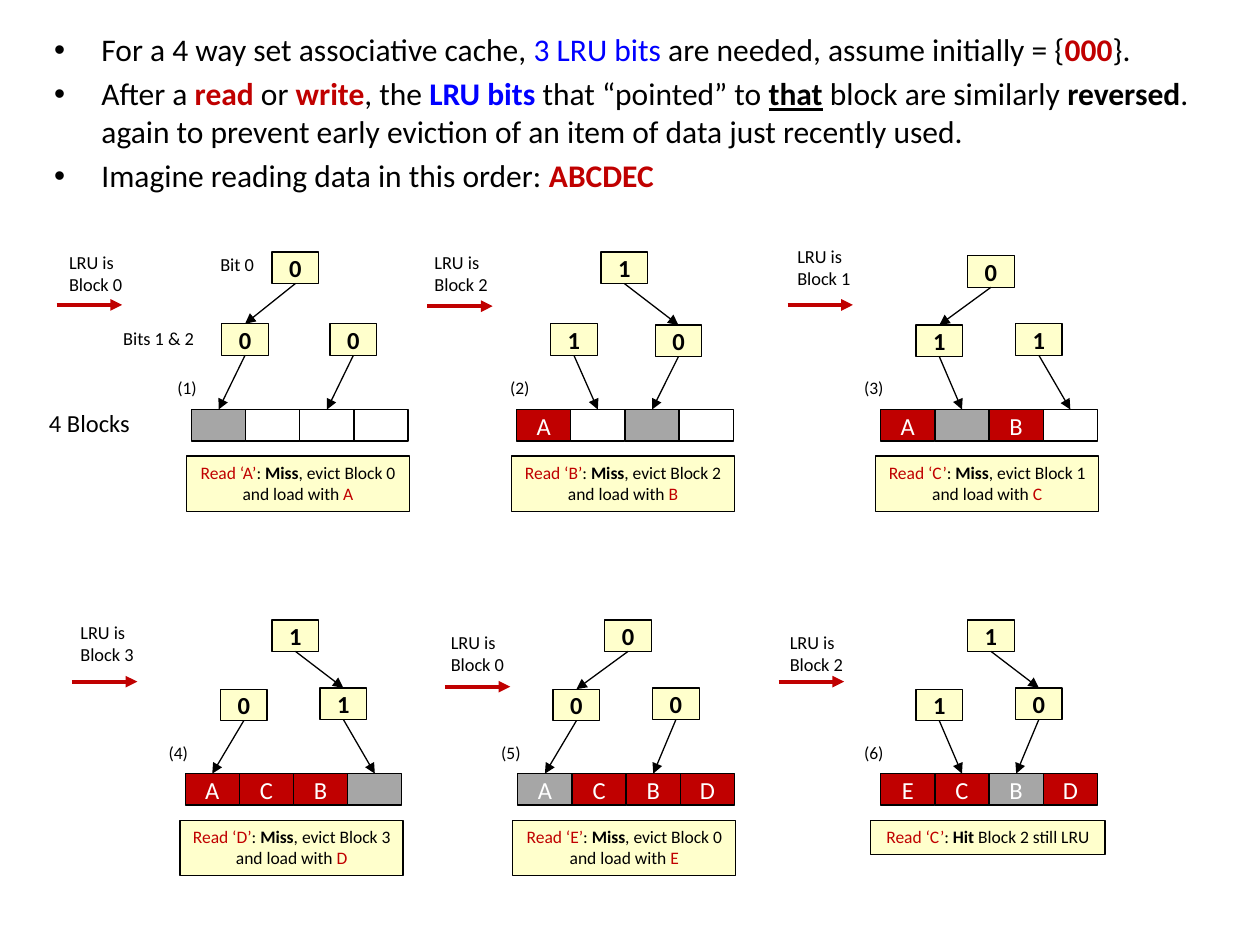
from collections import namedtuple

from lxml import etree
from pptx import Presentation
from pptx.dml.color import RGBColor
from pptx.enum.shapes import MSO_CONNECTOR, MSO_SHAPE
from pptx.enum.text import MSO_ANCHOR, MSO_AUTO_SIZE, PP_ALIGN
from pptx.oxml.ns import qn
from pptx.util import Inches, Pt

RECT = MSO_SHAPE.RECTANGLE
STRAIGHT = MSO_CONNECTOR.STRAIGHT
CENTER = PP_ALIGN.CENTER
MIDDLE, TOP = MSO_ANCHOR.MIDDLE, MSO_ANCHOR.TOP
NO_FIT = MSO_AUTO_SIZE.NONE

FONT = "Calibri"
BLACK = RGBColor(0x00, 0x00, 0x00)
WHITE = RGBColor(0xFF, 0xFF, 0xFF)
RED = RGBColor(0xC0, 0x00, 0x00)
BLUE = RGBColor(0x00, 0x00, 0xFF)
GREY = RGBColor(0xA6, 0xA6, 0xA6)
CREAM = RGBColor(0xFF, 0xFF, 0xCC)

CELL_W, BOX_H, BIT_W = 0.43, 0.25, 0.37
ROW_1, ROW_2 = 3.25, 6.14

# Offsets of the root, left and right bits from the corner of the block row.
TREE = ((0.69, -1.22), (0.28, -0.67), (1.07, -0.68))
TREE_1 = ((0.64, -1.25), (0.24, -0.68), (1.10, -0.68))
TREE_2 = ((0.67, -1.25), (0.27, -0.68), (1.10, -0.67))

# Bits are root, left, right; label, arrow and number are offsets as above.
Step = namedtuple("Step", "x y bits blocks read hit label arrow number tree")
STEPS = (
    Step(1.52, ROW_1, (0, 0, 0), "    ", "A", False,
         (-1.07, -1.31), (-1.07, -0.83), (-0.21, -0.31), TREE_1),
    Step(4.10, ROW_1, (1, 1, 0), "A   ", "B", False,
         (-0.75, -1.31), (-0.71, -0.82), (-0.15, -0.31), TREE_2),
    Step(6.99, ROW_1, (0, 1, 1), "A B ", "C", False,
         (-0.76, -1.35), (-0.74, -0.83), (-0.23, -0.31), TREE),
    Step(1.47, ROW_2, (1, 0, 1), "ACB ", "D", False,
         (-0.93, -1.26), (-0.90, -0.73), (-0.23, -0.30), TREE),
    Step(4.11, ROW_2, (0, 0, 0), "ACBD", "E", False,
         (-0.63, -1.18), (-0.58, -0.69), (-0.23, -0.30), TREE),
    Step(6.99, ROW_2, (1, 1, 0), "ECBD", "C", True,
         (-0.82, -1.18), (-0.81, -0.73), (-0.23, -0.30), TREE),
)

BULLETS = (
    (("For a 4 way set associative cache, ",), ("3 LRU bits ", BLUE),
     ("are needed, assume initially = {",), ("000", RED, True), ("}.",)),
    (("After a ",), ("read", RED, True), (" or ",), ("write", RED, True),
     (", the ",), ("LRU bits ", BLUE, True), ("that “pointed” to ",),
     ("that", BLACK, True, True), (" block are similarly ",),
     ("reversed", BLACK, True),
     (". again to prevent early eviction of an item of data just recently used.",)),
    (("Imagine reading data in this order: ",), ("ABCDEC", RED, True)),
)


def add_run(p, size, text, color=BLACK, bold=False, underline=False):
    r = p.add_run()
    r.text = text
    r.font.name, r.font.size = FONT, Pt(size)
    r.font.color.rgb = color
    r.font.bold, r.font.underline = bold, underline


def add_label(slide, x, y, w, h, size, lines, wrap=True):
    tf = slide.shapes.add_textbox(Inches(x), Inches(y), Inches(w), Inches(h)).text_frame
    tf.word_wrap = wrap
    p = tf.paragraphs[0]
    for i, line in enumerate(lines):
        if i:
            p.add_line_break()
        add_run(p, size, line)


def add_box(shapes, x, y, w, h, fill, size=14, runs=(), anchor=MIDDLE):
    s = shapes.add_shape(RECT, Inches(x), Inches(y), Inches(w), Inches(h))
    s.shadow.inherit = False
    if fill is None:
        s.fill.background()
    else:
        s.fill.solid()
        s.fill.fore_color.rgb = fill
    s.line.color.rgb, s.line.width = BLACK, Pt(0.75)
    tf = s.text_frame
    tf.word_wrap, tf.vertical_anchor = True, anchor
    p = tf.paragraphs[0]
    p.alignment = CENTER
    for run in runs:
        add_run(p, size, *run)
    return s


def add_arrow(slide, x1, y1, x2, y2, color, width):
    c = slide.shapes.add_connector(STRAIGHT, Inches(x1), Inches(y1), Inches(x2), Inches(y2))
    c.line.color.rgb, c.line.width = color, Pt(width)
    etree.SubElement(c.line._get_or_add_ln(), qn("a:tailEnd"), type="triangle")
    etree.SubElement(c._element.spPr, qn("a:effectLst"))
    return c


def join(slide, upper, lower):
    """Point an arrow from the bottom of one box to the top of another."""
    c = add_arrow(slide, 0, 0, 0, 0, BLACK, 0.75)
    c.begin_connect(upper, 2)
    c.end_connect(lower, 0)


def add_bullets(slide, x, y, w, h):
    body = slide.placeholders[1]
    body.left, body.top, body.width, body.height = map(Inches, (x, y, w, h))
    tf = body.text_frame
    tf.auto_size, tf.vertical_anchor = NO_FIT, TOP
    for i, runs in enumerate(BULLETS):
        p = tf.add_paragraph() if i else tf.paragraphs[0]
        for run in runs:
            add_run(p, 18, *run)


def add_blocks(slide, x, y, blocks, lru):
    group = slide.shapes.add_group_shape()
    cells = []
    for i, data in enumerate(blocks.replace(" ", "-")):
        used = data != "-"
        fill = GREY if i == lru else RED if used else None
        runs = [(data, WHITE)] if used else []
        cells.append(add_box(group.shapes, x + i * CELL_W, y, CELL_W, BOX_H, fill, runs=runs))
    return cells


def add_note(slide, x, y, step, lru):
    runs = [(f"Read ‘{step.read}’", RED), (": ",), ("Hit" if step.hit else "Miss", BLACK, True)]
    if step.hit:
        runs.append((f" Block {lru} still LRU",))
        box = (x - 0.08, y, 1.86, 0.27)
    else:
        runs += [(f", evict Block {lru} and load with ",), (step.read, RED)]
        box = (x - 0.04, y, 1.77, 0.44)
    add_box(slide.shapes, *box, CREAM, 10, runs, TOP)


def add_step(slide, number, step):
    """Draw the bit tree, the blocks and the captions of one read."""
    x, y = step.x, step.y
    root_bit, left_bit, right_bit = step.bits
    targets = (left_bit, 2 + right_bit)
    lru = targets[root_bit]

    root, *children = [
        add_box(slide.shapes, x + dx, y + dy, BIT_W, BOX_H, CREAM, runs=[(str(bit), BLACK, True)])
        for bit, (dx, dy) in zip(step.bits, step.tree)]
    cells = add_blocks(slide, x, y, step.blocks, lru)
    join(slide, root, children[root_bit])
    for child, target in zip(children, targets):
        join(slide, child, cells[target])

    add_note(slide, x, y + 0.37, step, lru)
    dx, dy = step.number
    add_label(slide, x + dx, y + dy, 0.36, 0.28, 10, [f"({number})"])
    dx, dy = step.label
    add_label(slide, x + dx, y + dy, 1.04, 0.45, 10.5, ["LRU is ", f"Block {lru}"])
    dx, dy = step.arrow
    add_arrow(slide, x + dx, y + dy, x + dx + 0.52, y + dy, RED, 2.25)


def add_legend(slide, x, y):
    """Name the levels of the first tree."""
    add_label(slide, x + 1.36, y, 0.47, 0.28, 10.5, ["Bit 0"], wrap=False)
    add_label(slide, x + 0.59, y + 0.59, 0.77, 0.28, 10.5, ["Bits 1 & 2"], wrap=False)
    add_label(slide, x, y + 1.23, 0.85, 0.34, 14, ["4 Blocks"], wrap=False)


def main():
    prs = Presentation()
    prs.slide_width, prs.slide_height = Inches(10), Inches(7.5)
    slide = prs.slides.add_slide(prs.slide_layouts[1])
    title = slide.shapes.title._element
    title.getparent().remove(title)
    add_bullets(slide, 0.33, 0.19, 9.43, 1.51)
    for number, step in enumerate(STEPS, 1):
        add_step(slide, number, step)
    add_legend(slide, 0.29, 1.96)
    prs.save("out.pptx")


if __name__ == "__main__":
    main()
